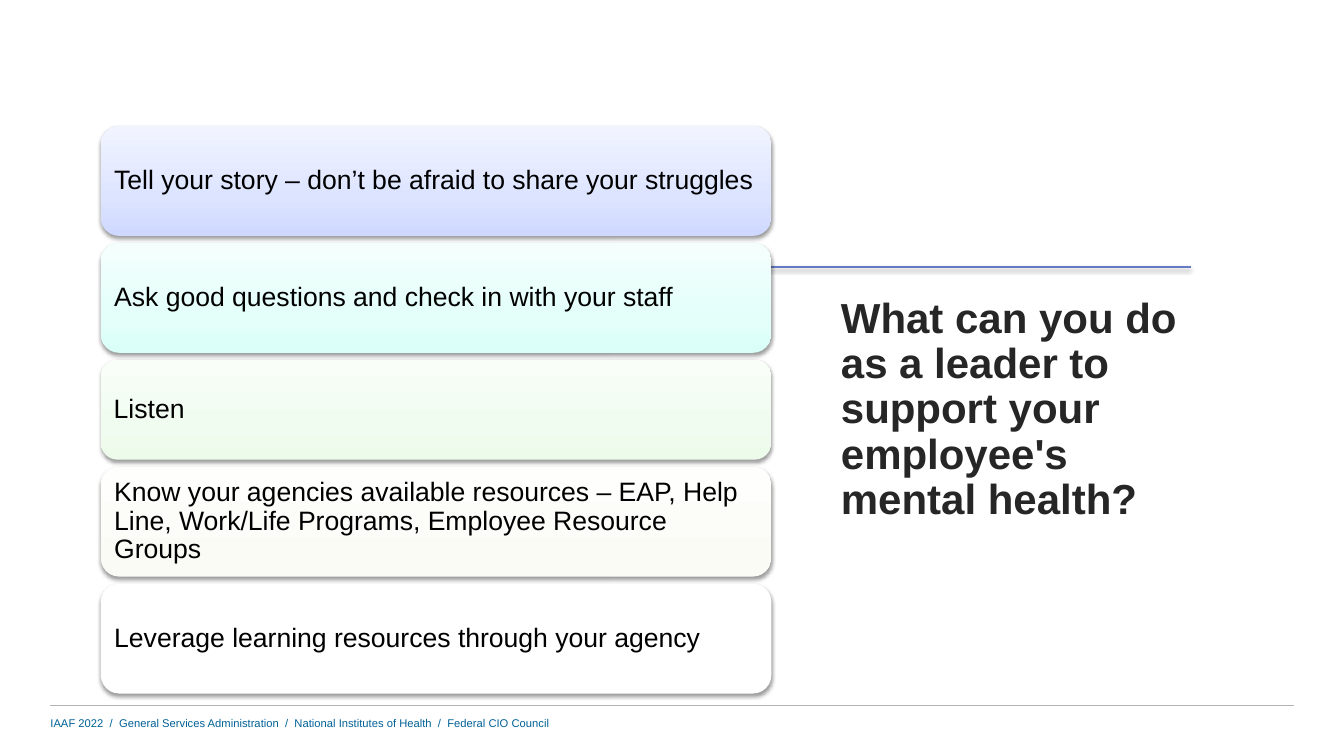
from copy import deepcopy
from dataclasses import dataclass

from pptx import Presentation
from pptx import util as u
from pptx.dml.color import RGBColor
from pptx.enum import shapes, text
from pptx.oxml import parse_xml
from pptx.oxml.ns import nsdecls, qn

PX = 9144  # 100 px to the inch
TITLE_ONLY = 5

BLACK = RGBColor(0x00, 0x00, 0x00)
CHARCOAL = RGBColor(0x26, 0x26, 0x26)
GREY = RGBColor(0xB2, 0xB2, 0xB2)
INDIGO = RGBColor(0x66, 0x7B, 0xC6)
FOOTER_BLUE = RGBColor(0x00, 0x61, 0x97)
WHITE = RGBColor(0xFF, 0xFF, 0xFF)
LAVENDER = (RGBColor(0xCF, 0xD9, 0xFF), RGBColor(0xDD, 0xE4, 0xFF), RGBColor(0xF1, 0xF4, 0xFF))
AQUA = (RGBColor(0xDA, 0xFF, 0xF8), RGBColor(0xE4, 0xFF, 0xFA), RGBColor(0xF4, 0xFF, 0xFD))
MINT = (RGBColor(0xEC, 0xFB, 0xEA), RGBColor(0xF1, 0xFC, 0xF0), RGBColor(0xF9, 0xFE, 0xF8))
IVORY = (RGBColor(0xFB, 0xFB, 0xF6), RGBColor(0xFC, 0xFC, 0xF9), RGBColor(0xFE, 0xFE, 0xFC))

STOPS = (0, 0.35, 1)
CARD_LEFT, CARD_TOP, CARD_WIDTH, CARD_GAP = 100, 125, 665, 7

TITLE_FONT = {"name": "Arial", "size": u.Pt(30), "bold": True}
CARD_FONT = {"name": "Arial", "size": u.Pt(19), "bold": False}
FOOTER_FONT = {"name": "Arial", "size": u.Pt(8), "bold": False}


@dataclass(frozen=True)
class Card:
    words: str
    colours: tuple[RGBColor, ...]
    height: int = 109


@dataclass(frozen=True)
class Rule:
    left: int
    right: int
    y: int
    colour: RGBColor
    points: float
    shadow: bool


CARDS = (
    Card("Tell your story – don’t be afraid to share your struggles", LAVENDER),
    Card("Ask good questions and check in with your staff", AQUA),
    Card("Listen", MINT, height=99),
    Card("Know your agencies available resources – EAP, Help Line, "
         "Work/Life Programs, Employee Resource Groups", IVORY),
    Card("Leverage learning resources through your agency", (WHITE,)),
)
RULES = (
    Rule(50, 1283, 700, GREY, 0.75, shadow=False),
    Rule(153, 1181, 265, INDIGO, 1.25, shadow=True),
)


def effects(shadow: bool):
    """Build an effect list, empty or with a soft shadow below."""
    effect_list = parse_xml(f"<a:effectLst {nsdecls('a')}/>")
    if shadow:
        effect_list.append(parse_xml(
            f'<a:outerShdw {nsdecls("a")} blurRad="{u.Pt(3.1)}" dist="{u.Pt(1.6)}" '
            'dir="5400000" rotWithShape="0"><a:srgbClr val="000000">'
            '<a:alpha val="38000"/></a:srgbClr></a:outerShdw>'))
    return effect_list


def write(box, words: str, font: dict, colour: RGBColor, inset: int, spacing: float) -> None:
    frame = box.text_frame
    settings = {"word_wrap": True, "auto_size": text.MSO_AUTO_SIZE.NONE,
                "vertical_anchor": text.MSO_ANCHOR.MIDDLE}
    settings |= {f"margin_{side}": inset * PX for side in ("left", "top", "right", "bottom")}
    for name, value in settings.items():
        setattr(frame, name, value)
    para = frame.paragraphs[0]
    para.alignment = text.PP_ALIGN.LEFT
    para.line_spacing = spacing
    span = para.add_run()
    span.text = words
    for name, value in font.items():
        setattr(span.font, name, value)
    span.font.color.rgb = colour


def paint(shape, colours: tuple[RGBColor, ...]) -> None:
    """Fill with one colour, or with a gradient rising from the bottom."""
    fill = shape.fill
    if len(colours) == 1:
        fill.solid()
        fill.fore_color.rgb = colours[0]
        return
    fill.gradient()
    fill.gradient_angle = 90
    stop_list = shape._element.spPr.find(".//" + qn("a:gsLst"))
    stop_list.append(deepcopy(stop_list[-1]))
    for stop, position, colour in zip(fill.gradient_stops, STOPS, colours):
        stop.position = position
        stop.color.rgb = colour


def add_rule(page, rule: Rule) -> None:
    line = page.shapes.add_connector(
        shapes.MSO_CONNECTOR.STRAIGHT,
        rule.left * PX, rule.y * PX, rule.right * PX, rule.y * PX)
    line.line.color.rgb = rule.colour
    line.line.width = u.Pt(rule.points)
    line._element.spPr.append(effects(rule.shadow))


def add_card(page, card: Card, top: int) -> None:
    box = page.shapes.add_shape(
        shapes.MSO_SHAPE.ROUNDED_RECTANGLE,
        CARD_LEFT * PX, top * PX, CARD_WIDTH * PX, card.height * PX)
    paint(box, card.colours)
    box.line.fill.background()
    box._element.spPr.append(effects(shadow=True))
    write(box, card.words, CARD_FONT, BLACK, inset=8, spacing=0.9)


def main() -> None:
    deck = Presentation()
    deck.slide_width, deck.slide_height = 1333 * PX, 750 * PX
    page = deck.slides.add_slide(deck.slide_layouts[TITLE_ONLY])

    for rule in RULES:
        add_rule(page, rule)

    footer = page.shapes.add_textbox(50 * PX, 710 * PX, 1125 * PX, 20 * PX)
    write(footer, "IAAF 2022  /  General Services Administration  /  "
          "National Institutes of Health  /  Federal CIO Council",
          FOOTER_FONT, FOOTER_BLUE, inset=0, spacing=0.5)

    title = page.shapes.title
    title.left, title.top, title.width, title.height = (
        824 * PX, 154 * PX, 368 * PX, 506 * PX)
    write(title, "What can you do as a leader to support your employee's mental health?",
          TITLE_FONT, CHARCOAL, inset=10, spacing=0.9)

    top = CARD_TOP
    for card in CARDS:
        add_card(page, card, top)
        top += card.height + CARD_GAP

    deck.save("out.pptx")


if __name__ == "__main__":
    main()
